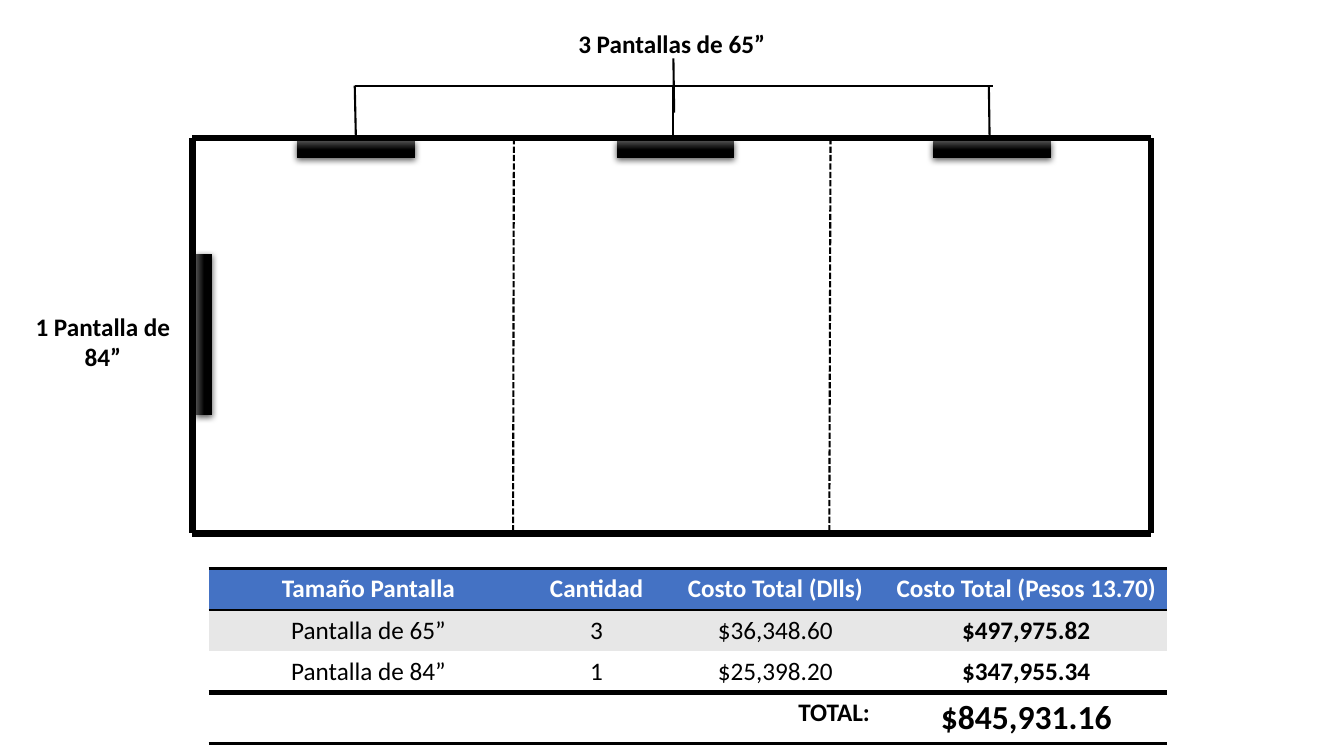
from lxml.etree import SubElement
from pptx import Presentation
from pptx.dml.color import RGBColor
from pptx.enum.dml import MSO_LINE
from pptx.enum.shapes import MSO_CONNECTOR, MSO_SHAPE
from pptx.enum.text import PP_ALIGN
from pptx.oxml.ns import qn
from pptx.util import Cm, Pt

BLACK, WHITE, BLUE, GRAY = "000000", "FFFFFF", "4472C4", "E7E7E7"
NO_STYLE = "{2D5ABB26-0587-4C30-8999-92F81FD0307C}"

# Lengths in cm
LEFT, TOP, RIGHT, BOTTOM = 4.85, 3.48, 29.01, 13.44
BAR = 2.16
DASHES = [(12.95, 12.93), (20.93, 20.9)]
SCREENS = [7.49, 15.54, 23.52]
DROPS = [(8.94, 8.97), (16.97, 16.97), (24.92, 24.94)]
LABELS = [
    ("3 Pantallas de 65”", (12.55, 0.58, 8.76, 1.02)),
    ("1 Pantalla de 84”", (0.46, 7.72, 4.27, 1.8)),
]
WIDTHS = [8.05, 3.45, 5.56, 7.09]
HEIGHTS = [1.04, 1.04, 1.04, 1.28]
ROWS = [
    ("Tamaño Pantalla", "Cantidad", "Costo Total (Dlls)", "Costo Total (Pesos 13.70)"),
    ("Pantalla de 65”", "3", "$36,348.60", "$497,975.82"),
    ("Pantalla de 84”", "1", "$25,398.20", "$347,955.34"),
    ("", "", "TOTAL: ", "$845,931.16"),
]
FILLS = [BLUE, GRAY, WHITE, WHITE]
EDGES = {0: (("lnT", 2), ("lnB", 2)), 3: (("lnT", 4), ("lnB", 2))}


def color(code):
    return RGBColor.from_string(code)


def add(parent, tag, **attrs):
    """Append an XML child in the drawing namespace."""
    return SubElement(parent, qn("a:" + tag), {k: str(v) for k, v in attrs.items()})


def write(frame, text, size=18, bold=True, ink=BLACK, align=PP_ALIGN.CENTER):
    para = frame.paragraphs[0]
    para.alignment = align
    run = para.add_run()
    run.text = text
    font = run.font
    font.name, font.size, font.bold = "Calibri", Pt(size), bold
    font.color.rgb = color(ink)


def line(x1, y1, x2, y2, width=1.5, dash=None):
    link = shapes.add_connector(MSO_CONNECTOR.STRAIGHT, Cm(x1), Cm(y1), Cm(x2), Cm(y2))
    link.line.color.rgb = color(BLACK)
    link.line.width = Pt(width)
    if dash:
        link.line.dash_style = dash
    add(link.element.spPr, "effectLst")


def screen(x, y, wide, high, turn=0):
    """Draw a wall display with a dark gradient and a soft shadow."""
    box = shapes.add_shape(MSO_SHAPE.RECTANGLE, Cm(x), Cm(y), Cm(wide), Cm(high))
    box.rotation = turn
    props = box.element.spPr
    grad = add(props, "gradFill", rotWithShape=1)
    stops = add(grad, "gsLst")
    for pos, code in ((0, "4B4B4B"), (50, BLACK), (100, BLACK)):
        add(add(stops, "gs", pos=pos * 1000), "srgbClr", val=code)
    add(grad, "lin", ang=90 * 60000, scaled=0)
    box.line.fill.background()
    box.shadow.inherit = False
    shade = add(props.find(qn("a:effectLst")), "outerShdw", blurRad=Pt(4.5),
                dist=Pt(1.5), dir=90 * 60000, rotWithShape=0)
    add(add(shade, "srgbClr", val=BLACK), "alpha", val=63000)


def border(cell, side, width):
    edge = add(cell._tc.get_or_add_tcPr(), side, w=Pt(width))
    add(add(edge, "solidFill"), "srgbClr", val=BLACK)


def costs():
    """Add the cost table."""
    frame = shapes.add_table(len(ROWS), len(WIDTHS), Cm(5.26), Cm(14.33),
                             Cm(sum(WIDTHS)), Cm(sum(HEIGHTS)))
    next(frame.element.iter(qn("a:tableStyleId"))).text = NO_STYLE
    table = frame.table
    for col, width in zip(table.columns, WIDTHS):
        col.width = Cm(width)
    last = len(ROWS) - 1
    for r, row in enumerate(ROWS):
        table.rows[r].height = Cm(HEIGHTS[r])
        for c, text in enumerate(row):
            cell = table.cell(r, c)
            for side, width in EDGES.get(r, ()):
                border(cell, side, width)
            cell.fill.solid()
            cell.fill.fore_color.rgb = color(FILLS[r])
            if text:
                write(cell.text_frame, text,
                      size=24 if (r, c) == (last, 3) else 18,
                      bold=r in (0, last) or c == 3,
                      ink=BLACK if r else WHITE,
                      align=PP_ALIGN.RIGHT if (r, c) == (last, 2) else PP_ALIGN.CENTER)


deck = Presentation()
deck.slide_width, deck.slide_height = Cm(33.87), Cm(19.05)
shapes = deck.slides.add_slide(deck.slide_layouts[6]).shapes

for y in (TOP, BOTTOM):
    line(LEFT, y, RIGHT, y, 4.5)
for x in (LEFT, RIGHT):
    line(x, TOP, x, BOTTOM, 4.5)
for head, foot in DASHES:
    line(head, TOP, foot, BOTTOM, dash=MSO_LINE.SQUARE_DOT)

for x in SCREENS:
    screen(x, 3.56, 2.97, 0.43)
screen(3.12, 8.23, 4.06, 0.41, turn=270)

for head, foot in DROPS:
    line(head, BAR, foot, 3.55)
line(8.94, BAR, 25.02, BAR)
line(16.97, 1.47, 16.99, 2.84)

for text, place in LABELS:
    label = shapes.add_textbox(*map(Cm, place)).text_frame
    label.word_wrap = True
    write(label, text)

costs()
deck.save("out.pptx")
